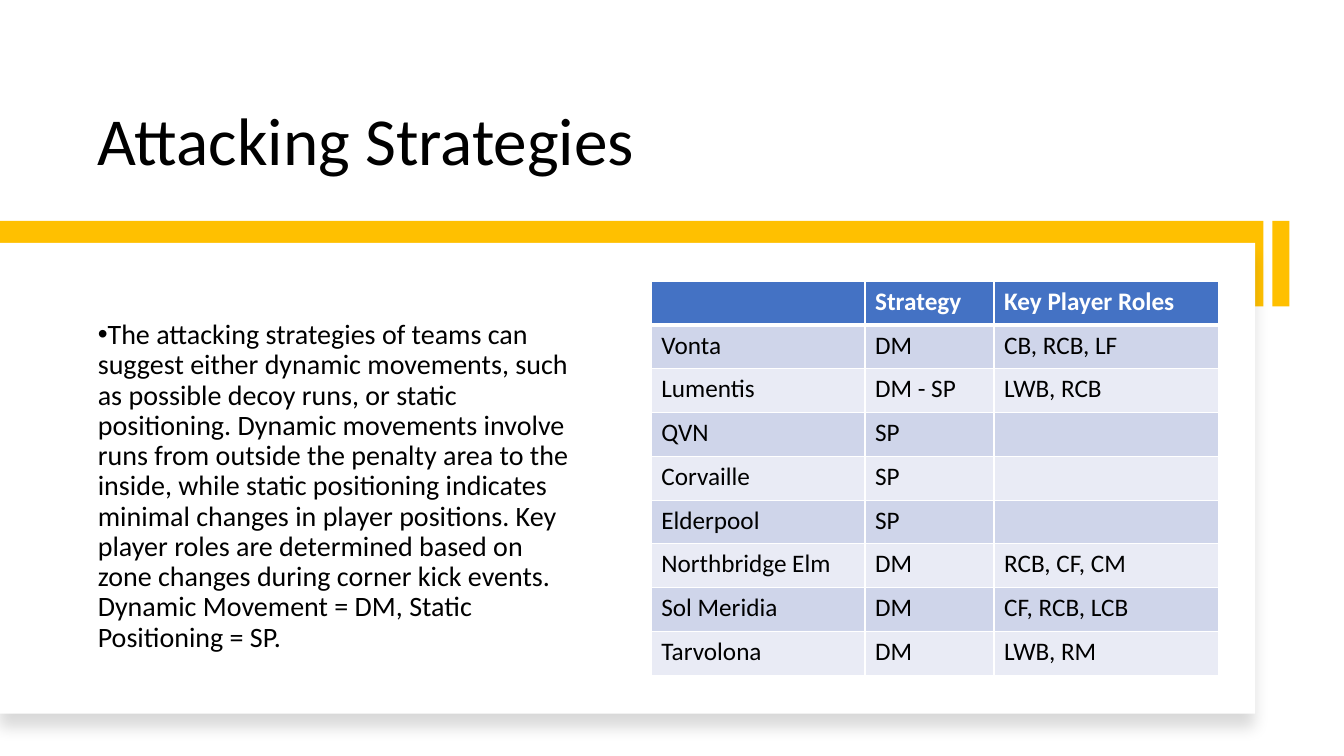
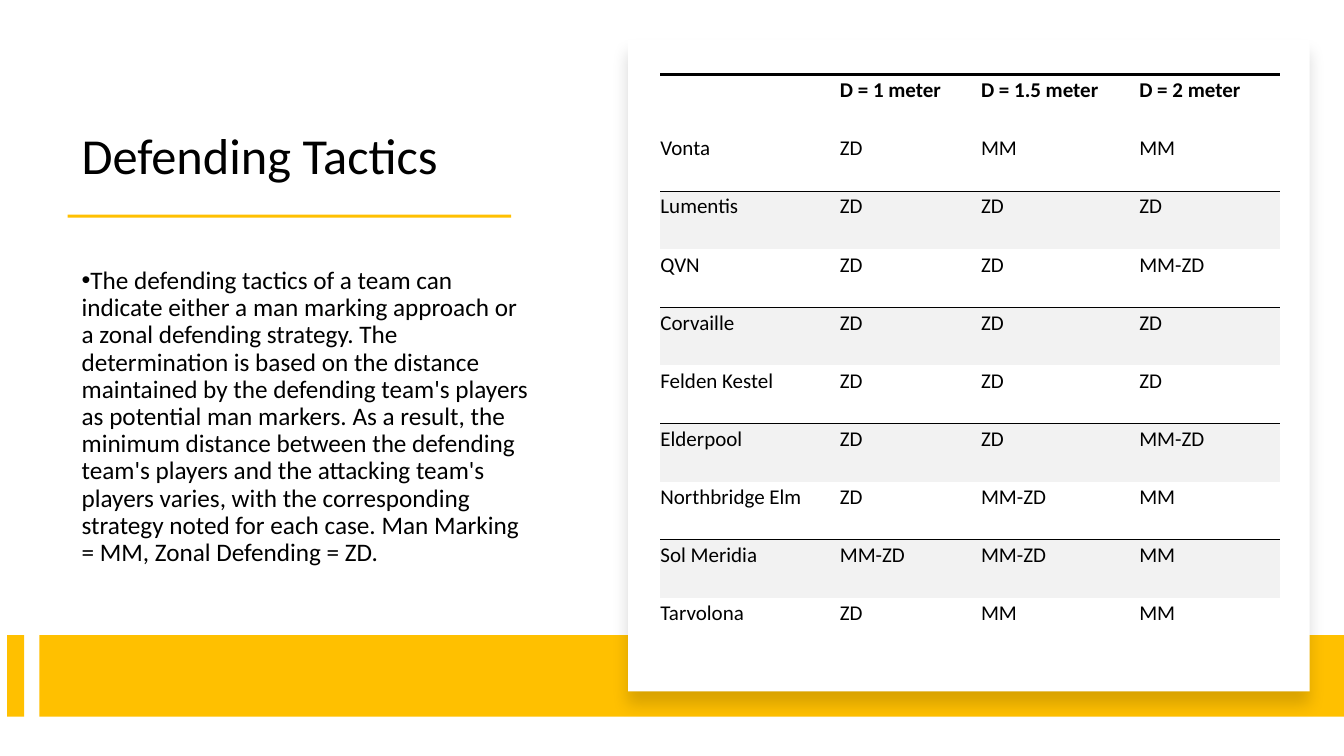
from lxml.etree import SubElement
from pptx import Presentation
from pptx.dml.color import RGBColor
from pptx.enum.shapes import MSO_SHAPE
from pptx.enum.text import MSO_ANCHOR, MSO_AUTO_SIZE, PP_ALIGN
from pptx.oxml.ns import qn
from pptx.util import Inches, Pt

FONT = "Calibri"
BLACK, WHITE, GOLD = "000000", "FFFFFF", "FFC000"
BLUE, BLUE_BANDS = "4472C4", ("CFD5EA", "E9EBF5")
GREY = "F2F2F2"
NO_STYLE = "{2D5ABB26-0587-4C30-8999-92F81FD0307C}"

ATTACK_TEXT = (
    "The attacking strategies of teams can suggest either dynamic movements, such as "
    "possible decoy runs, or static positioning. Dynamic movements involve runs from "
    "outside the penalty area to the inside, while static positioning indicates minimal "
    "changes in player positions. Key player roles are determined based on zone changes "
    "during corner kick events. Dynamic Movement = DM, Static Positioning = SP."
)
ATTACK_ROWS = [
    ("", "Strategy", "Key Player Roles"),
    ("Vonta", "DM", "CB, RCB, LF"),
    ("Lumentis", "DM - SP", "LWB, RCB"),
    ("QVN", "SP", ""),
    ("Corvaille", "SP", ""),
    ("Elderpool", "SP", ""),
    ("Northbridge Elm", "DM", "RCB, CF, CM"),
    ("Sol Meridia", "DM", "CF, RCB, LCB"),
    ("Tarvolona", "DM", "LWB, RM"),
]
DEFENCE_TEXT = (
    "The defending tactics of a team can indicate either a man marking approach or a "
    "zonal defending strategy. The determination is based on the distance maintained by "
    "the defending team's players as potential man markers. As a result, the minimum "
    "distance between the defending team's players and the attacking team's players "
    "varies, with the corresponding strategy noted for each case. Man Marking = MM, "
    "Zonal Defending = ZD."
)
DEFENCE_ROWS = [
    ("", "D = 1 meter", "D = 1.5 meter", "D = 2 meter"),
    ("Vonta", "ZD", "MM", "MM"),
    ("Lumentis", "ZD", "ZD", "ZD"),
    ("QVN", "ZD", "ZD", "MM-ZD"),
    ("Corvaille", "ZD", "ZD", "ZD"),
    ("Felden Kestel", "ZD", "ZD", "ZD"),
    ("Elderpool", "ZD", "ZD", "MM-ZD"),
    ("Northbridge Elm", "ZD", "MM-ZD", "MM"),
    ("Sol Meridia", "MM-ZD", "MM-ZD", "MM"),
    ("Tarvolona", "ZD", "MM", "MM"),
]


def rgb(value):
    return RGBColor.from_string(value)


def style_runs(p, size, color=BLACK, bold=False):
    for r in p.runs:
        r.font.name = FONT
        r.font.size = Pt(size)
        r.font.bold = bold
        r.font.color.rgb = rgb(color)


def place(sp, box):
    sp.left, sp.top, sp.width, sp.height = (Inches(v) for v in box)


def fill_placeholder(sp, box, text, size, anchor):
    place(sp, box)
    tf = sp.text_frame
    tf.text = text
    tf.auto_size = MSO_AUTO_SIZE.NONE
    tf.vertical_anchor = anchor
    p = tf.paragraphs[0]
    p.alignment = PP_ALIGN.LEFT
    p.line_spacing = 0.9
    p.space_before = Pt(0)
    style_runs(p, size)
    return p


def add_title(slide, box, text, size):
    fill_placeholder(slide.shapes.title, box, text, size, MSO_ANCHOR.BOTTOM)


def add_body(slide, box, text, size):
    p = fill_placeholder(slide.placeholders[1], box, text, size, MSO_ANCHOR.MIDDLE)
    p.space_after = Pt(6)
    props = p._p.get_or_add_pPr()
    props.set("marL", "0")
    props.set("indent", str(-Inches(0.25)))
    SubElement(props, qn("a:buFont"), typeface="Arial")
    SubElement(props, qn("a:buChar"), char="•")


def add_block(slide, box, color):
    sp = slide.shapes.add_shape(MSO_SHAPE.RECTANGLE, *(Inches(v) for v in box))
    sp.shadow.inherit = False
    sp.fill.solid()
    sp.fill.fore_color.rgb = rgb(color)
    sp.line.fill.background()
    slide.shapes.title.element.addprevious(sp.element)
    return sp


def add_card(slide, box):
    sp = add_block(slide, box, WHITE)
    effects = sp.element.spPr.find(qn("a:effectLst"))
    shadow = SubElement(effects, qn("a:outerShdw"), blurRad=str(Pt(11)),
                        dist=str(Pt(10)), dir="5400000", algn="t", rotWithShape="0")
    color = SubElement(shadow, qn("a:srgbClr"), val=BLACK)
    SubElement(color, qn("a:alpha"), val="15000")


def set_borders(cell, borders):
    props = cell._tc.get_or_add_tcPr()
    for side in "LRTB":
        color, width = borders.get(side, (None, 0))
        line = SubElement(props, qn(f"a:ln{side}"), w=str(Pt(width)))
        if color:
            fill = SubElement(line, qn("a:solidFill"))
            SubElement(fill, qn("a:srgbClr"), val=color)
        else:
            SubElement(line, qn("a:noFill"))


def add_table(slide, box, rows, widths, size, margins, row_style):
    frame = slide.shapes.add_table(len(rows), len(widths), *(Inches(v) for v in box))
    table = frame.table
    next(frame.element.iter(qn("a:tableStyleId"))).text = NO_STYLE
    table.horz_banding = False
    for column, width in zip(table.columns, widths):
        column.width = Inches(width)
    for i, values in enumerate(rows):
        fill, color, borders = row_style(i, i == len(rows) - 1)
        table.rows[i].height = Inches(box[3] / len(rows))
        for cell, value in zip(table.rows[i].cells, values):
            cell.text = value
            cell.margin_left, cell.margin_top, cell.margin_right, cell.margin_bottom = (
                Inches(m) for m in margins)
            style_runs(cell.text_frame.paragraphs[0], size, color, i == 0)
            set_borders(cell, borders)
            if fill:
                cell.fill.solid()
                cell.fill.fore_color.rgb = rgb(fill)
            else:
                cell.fill.background()


def blue_row(i, last):
    borders = {side: (WHITE, 1) for side in "LRTB"}
    if i <= 1:
        borders["T" if i else "B"] = (WHITE, 3)
    if i == 0:
        return BLUE, WHITE, borders
    return BLUE_BANDS[(i - 1) % 2], BLACK, borders


def ruled_row(i, last):
    if i == 0:
        return None, BLACK, {"T": (BLACK, 2.25)}
    if i % 2 == 0:
        return GREY, BLACK, {"T": (BLACK, 0.5)}
    return None, BLACK, {} if last else {"B": (BLACK, 0.5)}


def add_attack_slide(prs):
    slide = prs.slides.add_slide(prs.slide_layouts[1])
    add_block(slide, (0, 2.19, 12.53, 0.85), GOLD)
    add_block(slide, (12.62, 2.19, 0.17, 0.85), GOLD)
    add_card(slide, (0, 2.41, 12.45, 4.67))
    add_title(slide, (0.87, 0.42, 11.01, 1.42), "Attacking Strategies", 48)
    add_body(slide, (0.87, 2.84, 4.96, 3.98), ATTACK_TEXT, 20)
    add_table(slide, (6.46, 2.79, 5.63, 3.91), ATTACK_ROWS, (2.12, 1.28, 2.23), 18,
              (0.1, 0.05, 0.1, 0.05), blue_row)


def add_defence_slide(prs):
    slide = prs.slides.add_slide(prs.slide_layouts[1])
    add_block(slide, (0.67, 2.13, 4.4, 0.03), GOLD)
    add_block(slide, (0.07, 6.3, 0.17, 0.81), GOLD)
    add_block(slide, (0.39, 6.3, 12.94, 0.81), GOLD)
    add_card(slide, (6.23, 0.39, 6.76, 6.47))
    add_title(slide, (0.71, 0.58, 4.68, 1.31), "Defending Tactics", 36)
    add_body(slide, (0.71, 2.22, 4.68, 3.84), DEFENCE_TEXT, 18)
    add_table(slide, (6.55, 0.74, 6.15, 5.77), DEFENCE_ROWS, (1.78, 1.4, 1.57, 1.4), 15,
              (0, 0.03, 0.08, 0.23), ruled_row)


def main():
    prs = Presentation()
    prs.slide_width, prs.slide_height = Inches(13.33), Inches(7.5)
    add_attack_slide(prs)
    add_defence_slide(prs)
    prs.save("out.pptx")


if __name__ == "__main__":
    main()
